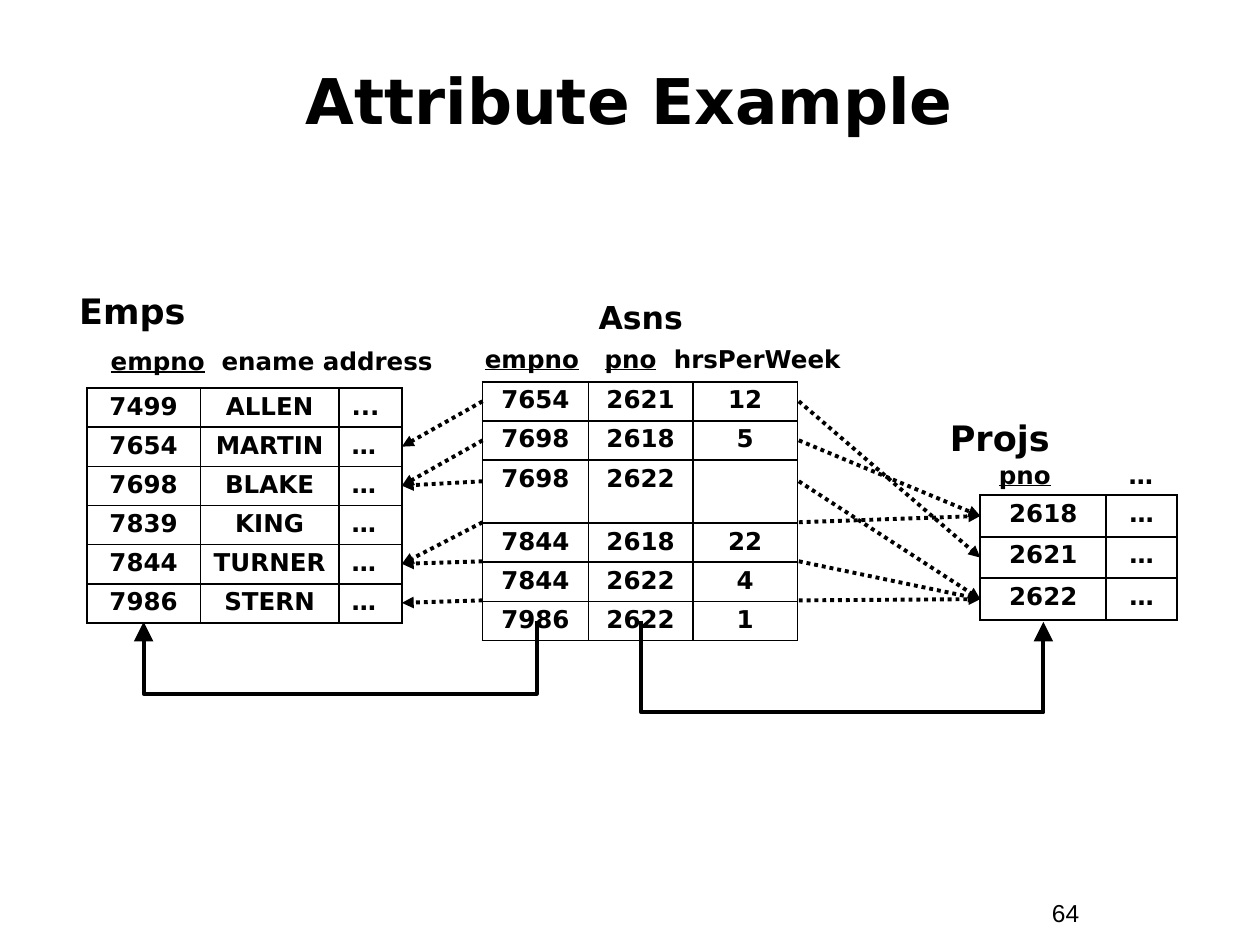
import pptx
import pptx.dml.color
import pptx.enum.dml
import pptx.enum.shapes
import pptx.enum.text
import pptx.oxml
import pptx.oxml.ns
import pptx.util
from lxml import etree
from pptx.util import Inches

COLORS = {"ink": "000000"}
FONT = "DejaVu Sans"
ALIGN = pptx.enum.text.PP_ALIGN
CONNECTOR = pptx.enum.shapes.MSO_CONNECTOR


def add_element(parent, tag, **attrs):
    return etree.SubElement(parent, pptx.oxml.ns.qn(tag), attrs)


class Painter:
    """Holds the slide and its style."""

    def __init__(self, slide):
        self.slide = slide
        self.ink = pptx.dml.color.RGBColor.from_string(COLORS["ink"])

    def format_run(self, r, size, font=FONT, bold=True, underline=False):
        r.font.size = pptx.util.Pt(size)
        r.font.name = font
        r.font.bold = bold
        r.font.underline = underline
        r.font.color.rgb = self.ink

    def text(self, box, parts, size, align=ALIGN.LEFT, tabs=(), middle=False, **style):
        """Parts are (text, underlined) pairs; tabs are stops in inches."""
        sp = self.slide.shapes.add_textbox(*map(Inches, box))
        tf = sp.text_frame
        tf.word_wrap = True
        if middle:
            tf.vertical_anchor = pptx.enum.text.MSO_ANCHOR.MIDDLE
        p = tf.paragraphs[0]
        p.alignment = align
        if tabs:
            tab_list = add_element(p._p.get_or_add_pPr(), "a:tabLst")
            for stop in tabs:
                add_element(tab_list, "a:tab", pos=str(Inches(stop)), algn="l")
        for words, underline in parts:
            r = p.add_run()
            r.text = words
            self.format_run(r, size, underline=underline, **style)

    def table(self, left, top, widths, heights, rows, left_columns=()):
        """Draw the table and return the middle height of each row."""
        tbl = self.slide.shapes.add_table(
            len(rows), len(widths), Inches(left), Inches(top),
            Inches(sum(widths)), Inches(sum(heights))).table
        tbl.first_row = tbl.horz_banding = False
        for column, width in zip(tbl.columns, widths):
            column.width = Inches(width)
        for i, row in enumerate(rows):
            tbl.rows[i].height = Inches(heights[i])
            for j, value in enumerate(row):
                align = ALIGN.LEFT if j in left_columns else ALIGN.CENTER
                self.cell(tbl.cell(i, j), value, align)
        return [top + sum(heights[:i]) + h / 2 for i, h in enumerate(heights)]

    def cell(self, cell, value, align):
        p = cell.text_frame.paragraphs[0]
        p.text = value
        if value:
            p.alignment = align
            p.line_spacing = 0.9
            self.format_run(p.runs[0], 14)
        else:
            add_element(p._p, "a:endParaRPr", sz="2400")
        tc_pr = cell._tc.get_or_add_tcPr()
        for side in ("a:lnL", "a:lnR", "a:lnT", "a:lnB"):
            ln = add_element(tc_pr, side, w=str(pptx.util.Pt(1.08)))
            add_element(add_element(ln, "a:solidFill"), "a:srgbClr", val=COLORS["ink"])
        cell.fill.background()

    def arrow(self, kind, x1, y1, x2, y2, head="med", dotted=False):
        cxn = self.slide.shapes.add_connector(kind, *map(Inches, (x1, y1, x2, y2)))
        cxn.line.width = pptx.util.Pt(2.25)
        cxn.line.color.rgb = self.ink
        if dotted:
            cxn.line.dash_style = pptx.enum.dml.MSO_LINE.ROUND_DOT
        add_element(cxn.line._get_or_add_ln(), "a:tailEnd",
                    type="triangle", w=head, len=head)
        add_element(cxn._element.spPr, "a:effectLst")
        return cxn

    def u_arrow(self, x1, x2, y, drop):
        """Elbow arrow going down from x1, across, and up to x2.

        The connector is a thin upright box turned by a quarter; its
        adjustment is the drop as a share of the box's width.
        """
        thin = 0.01
        mid, half = (x1 + x2) / 2, (x1 - x2) / 2
        cxn = self.arrow(CONNECTOR.ELBOW, mid - thin / 2, y - half,
                         mid + thin / 2, y + half, head="lg")
        sp_pr = cxn._element.spPr
        sp_pr.find(pptx.oxml.ns.qn("a:xfrm")).set("rot", str(90 * 60000))
        geom = sp_pr.find(pptx.oxml.ns.qn("a:prstGeom"))
        guides = geom.find(pptx.oxml.ns.qn("a:avLst"))
        if guides is None:
            guides = add_element(geom, "a:avLst")
        add_element(guides, "a:gd", name="adj1", fmla=f"val {round(drop / thin * 100000)}")


EMPS = [("7499", "ALLEN", "..."), ("7654", "MARTIN", "…"), ("7698", "BLAKE", "…"),
        ("7839", "KING", "…"), ("7844", "TURNER", "…"), ("7986", "STERN", "…")]
ASNS = [("7654", "2621", "12"), ("7698", "2618", "5"), ("7698", "2622", ""),
        ("7844", "2618", "22"), ("7844", "2622", "4"), ("7986", "2622", "1")]
PROJS = [("2618", "…"), ("2621", "…"), ("2622", "…")]


def main():
    prs = pptx.Presentation()
    prs.slide_width, prs.slide_height = Inches(10), Inches(7.5)
    s = Painter(prs.slides.add_slide(prs.slide_layouts[6]))

    s.text((8.25, 7.08, 0.92, 0.34), [("64", False)], 14, font="Arial", bold=False)
    s.text((0.33, 0.33, 9.33, 0.92), [("Attribute Example", False)], 36,
           ALIGN.CENTER, middle=True)

    s.text((0.53, 2.25, 2.15, 0.44), [("Emps", False)], 20)
    s.text((0.78, 2.7, 3.61, 0.34), [("empno", True), ("\tename address", False)],
           14, tabs=[0.88])
    emp_mids = s.table(0.69, 3.08, [0.9, 1.1, 0.5], [0.31] * 6, EMPS, left_columns=[2])

    s.text((3.75, 2.68, 3.17, 0.34),
           [("empno", True), ("\t", False), ("pno", True), ("\thrsPerWeek", False)],
           14, tabs=[0.95, 1.5])
    s.text((3.95, 2.32, 2.27, 0.4), [("Asns", False)], 18, ALIGN.CENTER)
    asn_mids = s.table(3.83, 3.03, [0.84, 0.83, 0.83],
                       [0.31, 0.31, 0.34, 0.31, 0.31, 0.31], ASNS)

    proj_mids = s.table(7.78, 3.93, [1, 0.56], [0.33] * 3, PROJS)
    s.text((7.44, 3.26, 1.67, 0.44), [("Projs", False)], 20)
    s.text((7.83, 3.6, 1.67, 0.34), [("pno", True), ("\t…", False)], 14, tabs=[1.03])

    emp_y = {row[0]: y for row, y in zip(EMPS, emp_mids)}
    proj_y = {row[0]: y for row, y in zip(PROJS, proj_mids)}
    for (empno, pno, _), y in zip(ASNS, asn_mids):
        s.arrow(CONNECTOR.STRAIGHT, 6.34, y, 7.78, proj_y[pno], dotted=True)
        s.arrow(CONNECTOR.STRAIGHT, 3.83, y, 3.19, emp_y[empno], dotted=True)
    s.u_arrow(5.09, 8.28, 4.93, 0.74)
    s.u_arrow(4.26, 1.14, 4.93, 0.59)

    prs.save("out.pptx")


if __name__ == "__main__":
    main()
